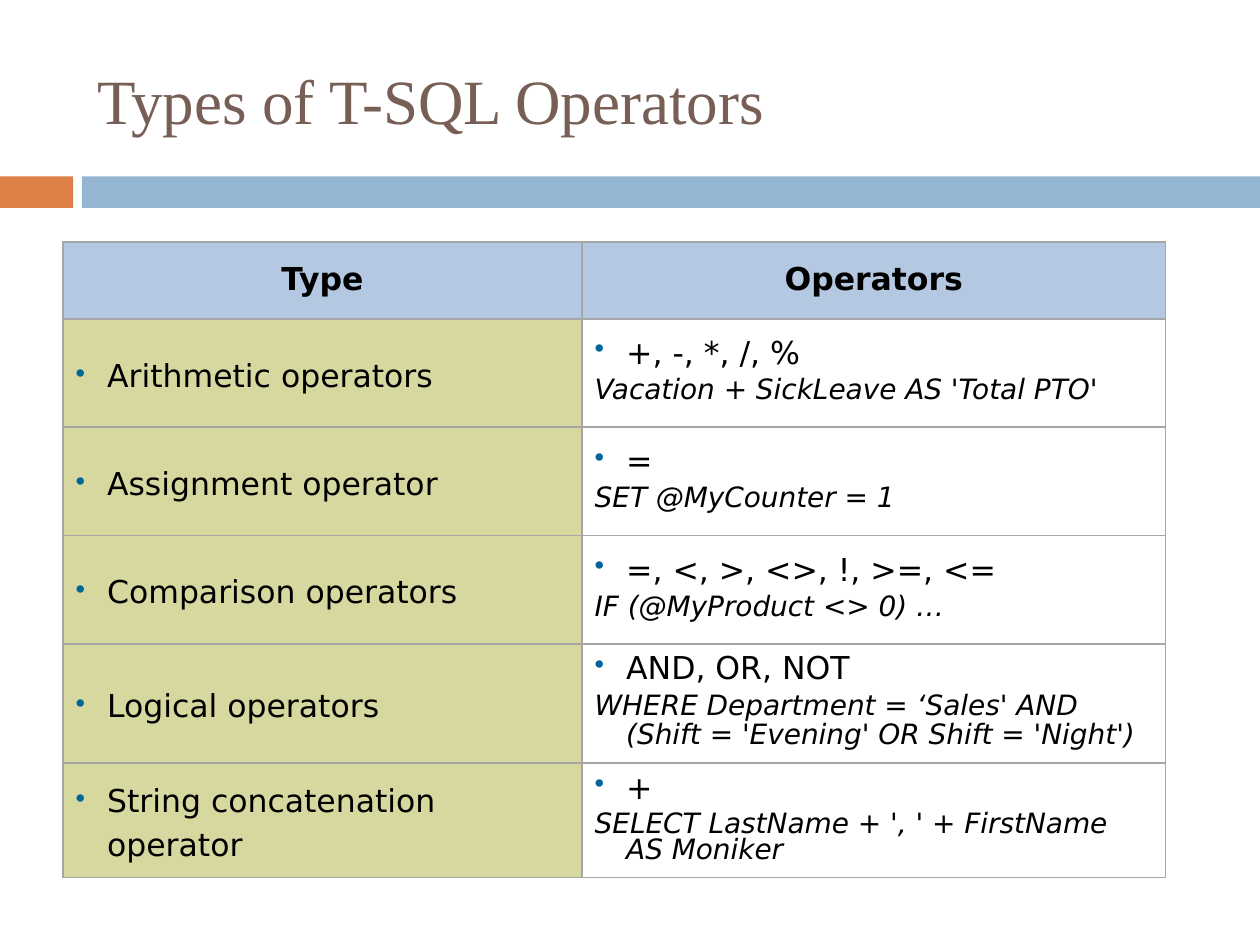
import pptx
import pptx.util
import pptx.dml.color
import pptx.enum.shapes
import pptx.enum.text
import pptx.oxml.ns
from lxml import etree

Inches = pptx.util.Inches
Pt = pptx.util.Pt
ALIGN = pptx.enum.text.PP_ALIGN
MIDDLE = pptx.enum.text.MSO_ANCHOR.MIDDLE

COLORS = {
    "orange": "DD8047", "blue": "94B6D2", "title": "775F55", "text": "000000",
    "header": "B4C8E1", "type": "D7D7A0", "operators": "FFFFFF",
    "border": "A6A6A6", "bullet": "006699",
}
BODY_FONT = "DejaVu Sans"
HEADINGS = ["Type", "Operators"]
OPERATORS = [
    ("Arithmetic operators", "+, -, *, /, %", "Vacation + SickLeave AS 'Total PTO'"),
    ("Assignment operator", "=", "SET @MyCounter = 1"),
    ("Comparison operators", "=, <, >, <>, !, >=, <=", "IF (@MyProduct <> 0) …"),
    ("Logical operators", "AND, OR, NOT",
     "WHERE Department = ‘Sales' AND (Shift = 'Evening' OR Shift = 'Night')"),
    ("String concatenation operator", "+",
     "SELECT LastName + ', ' + FirstName AS Moniker"),
]
COLUMN_WIDTHS = [4.12, 4.63]
HEADER_HEIGHT, ROW_HEIGHT = 0.61, 0.86


def rgb(name):
    return pptx.dml.color.RGBColor.from_string(COLORS[name])


def add_element(parent, tag, **attributes):
    element = etree.SubElement(parent, pptx.oxml.ns.qn(tag))
    for key, value in attributes.items():
        element.set(key, str(value))
    return element


def format_font(font, color="text", **values):
    values = {"name": BODY_FONT, "size": Pt(18), "bold": False, "italic": False} | values
    for key, value in values.items():
        setattr(font, key, value)
    font.color.rgb = rgb(color)


def add_bar(slide, left, width, color):
    bar = slide.shapes.add_shape(pptx.enum.shapes.MSO_SHAPE.RECTANGLE,
                                 Inches(left), Inches(1.4), Inches(width), Inches(0.25))
    bar.shadow.inherit = False
    bar.fill.solid()
    bar.fill.fore_color.rgb = rgb(color)
    bar.line.fill.background()


def set_title(slide, text):
    title = slide.shapes.title
    title.left, title.top, title.width, title.height = map(Inches, (0.67, 0.25, 8.92, 1.08))
    title.text_frame.text = text
    title.text_frame.vertical_anchor = MIDDLE
    paragraph = title.text_frame.paragraphs[0]
    paragraph.alignment = ALIGN.LEFT
    format_font(paragraph.runs[0].font, "title", name="Times New Roman", size=Pt(36))


def style_cell(cell, fill):
    cell.vertical_anchor = MIDDLE
    for side in ("left", "right", "top", "bottom"):
        setattr(cell, f"margin_{side}", Inches(0.1))
    properties = cell._tc.get_or_add_tcPr()
    for tag in ("a:lnL", "a:lnR", "a:lnT", "a:lnB"):
        line = add_element(properties, tag, w=Pt(1))
        add_element(add_element(line, "a:solidFill"), "a:srgbClr", val=COLORS["border"])
    cell.fill.solid()
    cell.fill.fore_color.rgb = rgb(fill)


def write_paragraph(paragraph, text, line_spacing, space_before, hanging=True,
                    bullet=False, alignment=ALIGN.LEFT, **font):
    """Write one run; space_before is a percentage of the line height."""
    paragraph.alignment = alignment
    paragraph.line_spacing = line_spacing
    properties = paragraph._p.get_or_add_pPr()
    add_element(add_element(properties, "a:spcBef"), "a:spcPct", val=space_before * 1000)
    if hanging:
        properties.set("marL", str(Inches(0.25)))
        properties.set("indent", str(-Inches(0.25)))
    if bullet:
        add_element(add_element(properties, "a:buClr"), "a:srgbClr", val=COLORS["bullet"])
        add_element(properties, "a:buSzPct", val=90000)
        add_element(properties, "a:buChar", char="•")
    else:
        add_element(properties, "a:buNone")
    run = paragraph.add_run()
    run.text = text
    format_font(run.font, **font)


def add_operator_table(slide):
    row_count = len(OPERATORS) + 1
    height = HEADER_HEIGHT + ROW_HEIGHT * len(OPERATORS)
    table = slide.shapes.add_table(row_count, 2, Inches(0.5), Inches(1.92),
                                   Inches(sum(COLUMN_WIDTHS)), Inches(height)).table
    table.first_row = table.horz_banding = False
    for column, width in zip(table.columns, COLUMN_WIDTHS):
        column.width = Inches(width)
    for index, row in enumerate(table.rows):
        row.height = Inches(ROW_HEIGHT if index else HEADER_HEIGHT)

    for column, heading in enumerate(HEADINGS):
        cell = table.cell(0, column)
        style_cell(cell, "header")
        write_paragraph(cell.text_frame.paragraphs[0], heading, 0.9, 70, hanging=False,
                        alignment=ALIGN.CENTER, bold=True)

    for row, (kind, symbols, example) in enumerate(OPERATORS, start=1):
        type_cell, operator_cell = table.cell(row, 0), table.cell(row, 1)
        style_cell(type_cell, "type")
        style_cell(operator_cell, "operators")
        write_paragraph(type_cell.text_frame.paragraphs[0], kind, 1.18, 30, bullet=True)
        frame = operator_cell.text_frame
        write_paragraph(frame.paragraphs[0], symbols, 0.8, 30, bullet=True)
        write_paragraph(frame.add_paragraph(), example, 0.8, 30, size=Pt(16), italic=True)
        if kind == "Logical operators":
            # The full-size trailing space makes the last line taller.
            space = frame.paragraphs[-1].add_run()
            space.text = " "
            format_font(space.font)


def main():
    presentation = pptx.Presentation()
    presentation.slide_width, presentation.slide_height = Inches(10), Inches(7.5)
    slide = presentation.slides.add_slide(presentation.slide_layouts.get_by_name("Title Only"))
    add_bar(slide, 0, 0.58, "orange")
    add_bar(slide, 0.65, 9.35, "blue")
    set_title(slide, "Types of T-SQL Operators")
    add_operator_table(slide)
    presentation.save("out.pptx")


if __name__ == "__main__":
    main()
